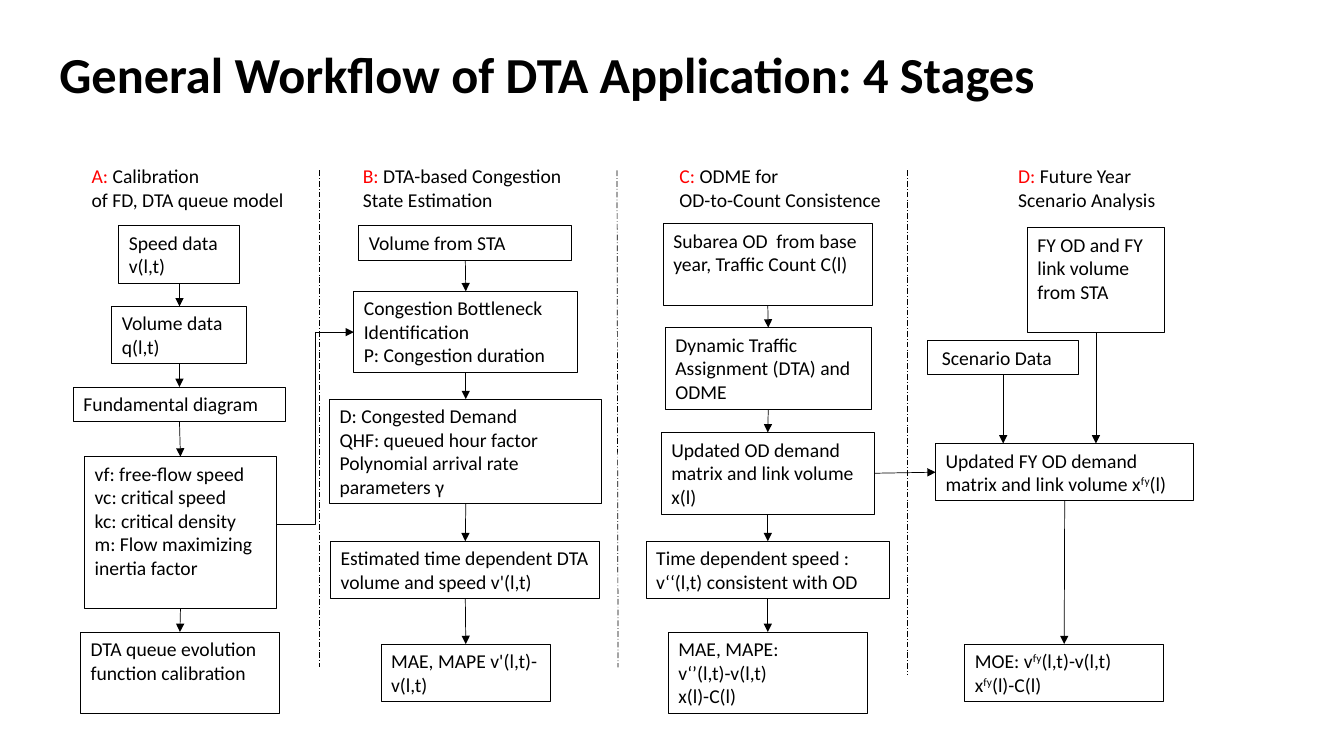
from dataclasses import dataclass
from itertools import pairwise

from lxml import etree
from pptx import Presentation
from pptx import util as u
from pptx.dml.color import RGBColor
from pptx.enum import dml, shapes, text
from pptx.oxml.ns import qn


@dataclass(frozen=True)
class Theme:
    font: str = "Calibri"
    ink: RGBColor = RGBColor(0, 0, 0)
    accent: RGBColor = RGBColor(255, 0, 0)
    body: int = 14
    title: int = 36
    box_line: float = 0.75
    thin_line: float = 0.5


THEME = Theme()
TOP, BOTTOM, LEFT, RIGHT = 0, 2, 1, 3

# Stage letter, heading lines, left and width
HEADINGS = [
    ("A", ["Calibration", "of FD, DTA queue model"], 0.81, 2.4),
    ("B", ["DTA-based Congestion State Estimation"], 3.5, 2.47),
    ("C", ["ODME for", "OD-to-Count Consistence"], 6.64, 2.44),
    ("D", ["Future Year", "Scenario Analysis"], 10, 1.75),
]

# Stage dividers: x at the top, x at the bottom, bottom
DIVIDERS = [(3.17, 3.17, 6.62), (6.12, 6.13, 6.62), (9, 9, 6.69)]

# Steps of each stage: left, top, width, height, lines; ^...^ is superscript
CALIBRATION = [
    (1.18, 2.24, 1.2, 0.57, ["Speed data", "v(l,t)"]),
    (1.11, 3.04, 1.34, 0.57, ["Volume data", "q(l,t)"]),
    (0.73, 3.84, 2.1, 0.34, ["Fundamental diagram"]),
    (0.84, 4.53, 1.9, 1.51, ["vf: free-flow speed", "vc: critical speed",
                             "kc: critical density",
                             "m: Flow maximizing inertia factor"]),
    (0.8, 6.27, 1.97, 0.81, ["DTA queue evolution function calibration"]),
]
CONGESTION = [
    (3.56, 2.24, 2.11, 0.34, ["Volume from STA"]),
    (3.51, 2.89, 2.22, 0.81, ["Congestion Bottleneck", "Identification",
                              "P: Congestion duration"]),
    (3.27, 3.96, 2.7, 1.04, ["D: Congested Demand", "QHF: queued hour factor",
                             "Polynomial arrival rate parameters γ"]),
    (3.28, 5.37, 2.67, 0.57,
     ["Estimated time dependent DTA volume and speed v'(l,t)"]),
    (3.78, 6.39, 1.68, 0.57, ["MAE, MAPE v'(l,t)-v(l,t)"]),
]
ODME = [
    (6.58, 2.22, 2.07, 0.81, ["Subarea OD  from base year, Traffic Count C(l)"]),
    (6.6, 3.25, 2.04, 0.81, ["Dynamic Traffic Assignment (DTA) and ODME"]),
    (6.56, 4.29, 2.11, 0.81, ["Updated OD demand matrix and link volume x(l)"]),
    (6.41, 5.37, 2.41, 0.57,
     ["Time dependent speed : v‘‘(l,t) consistent with OD"]),
    (6.63, 6.27, 1.97, 0.81, ["MAE, MAPE:", "v‘’(l,t)-v(l,t)", "x(l)-C(l)"]),
]
FUTURE_YEAR = [
    (9.28, 4.4, 2.56, 0.57,
     ["Updated FY OD demand matrix and link volume x^fy^(l)"]),
    (9.57, 6.39, 1.97, 0.57, ["MOE: v^fy^(l,t)-v(l,t)", "x^fy^(l)-C(l)"]),
]
FUTURE_VOLUME = (10.19, 2.26, 1.36, 1.04, ["FY OD and FY link volume from STA"])
SCENARIO = (9.2, 3.38, 1.5, 0.34, [" Scenario Data"])


def add_run(paragraph, words, color=THEME.ink, size=THEME.body, bold=False):
    run = paragraph.add_run()
    run.text = words
    style = {"name": THEME.font, "size": u.Pt(size), "bold": bold}
    for attribute, value in style.items():
        setattr(run.font, attribute, value)
    run.font.color.rgb = color
    return run


def set_frame(frame, anchor=text.MSO_ANCHOR.TOP):
    style = {
        "word_wrap": True, "vertical_anchor": anchor,
        "margin_left": u.Inches(0.1), "margin_right": u.Inches(0.1),
        "margin_top": u.Inches(0.05), "margin_bottom": u.Inches(0.05),
    }
    for attribute, value in style.items():
        setattr(frame, attribute, value)


def write_lines(frame, lines, label=""):
    """Write one paragraph a line, with an accented label before the first."""
    for index, line in enumerate(lines):
        paragraph = frame.add_paragraph() if index else frame.paragraphs[0]
        paragraph.alignment = text.PP_ALIGN.LEFT
        if label and not index:
            add_run(paragraph, label, THEME.accent)
        for part, words in enumerate(line.split("^")):
            run = add_run(paragraph, words)
            if part % 2:
                run.font._element.set("baseline", "30000")


def add_text(slide, left, top, width, height, anchor=text.MSO_ANCHOR.TOP):
    area = slide.shapes.add_textbox(*map(u.Inches, (left, top, width, height)))
    set_frame(area.text_frame, anchor)
    return area.text_frame


def add_title(slide, words):
    frame = add_text(slide, 0.49, 0.27, 11.93, 1, text.MSO_ANCHOR.MIDDLE)
    frame.paragraphs[0].line_spacing = 0.9
    add_run(frame.paragraphs[0], words, size=THEME.title, bold=True)


def add_step(slide, left, top, width, height, lines):
    step = slide.shapes.add_shape(
        shapes.MSO_SHAPE.RECTANGLE, *map(u.Inches, (left, top, width, height)))
    step.shadow.inherit = False
    step.fill.background()
    step.line.color.rgb = THEME.ink
    step.line.width = u.Pt(THEME.box_line)
    set_frame(step.text_frame)
    write_lines(step.text_frame, lines)
    return step


def add_line(slide, start, end, kind=shapes.MSO_CONNECTOR.STRAIGHT):
    line = slide.shapes.add_connector(kind, *map(u.Inches, (*start, *end)))
    line.line.color.rgb = THEME.ink
    line.line.width = u.Pt(THEME.thin_line)
    etree.SubElement(line._element.spPr, qn("a:effectLst"))
    return line


def add_arrow(slide, start, end, **options):
    arrow = add_line(slide, start, end, **options)
    etree.SubElement(arrow.line._get_or_add_ln(), qn("a:tailEnd"), type="triangle")
    return arrow


def join(slide, source, target, source_side=BOTTOM, target_side=TOP):
    arrow = add_arrow(slide, (0, 0), (1, 1))
    arrow.begin_connect(source, source_side)
    arrow.end_connect(target, target_side)


def drop(slide, source, x, top, bottom):
    """Lead straight down from a step to a point on the edge below."""
    add_arrow(slide, (x, top), (x, bottom)).begin_connect(source, BOTTOM)


def add_chain(slide, steps):
    boxes = [add_step(slide, *step) for step in steps]
    for source, target in pairwise(boxes):
        join(slide, source, target)
    return boxes


def main():
    deck = Presentation()
    deck.slide_width, deck.slide_height = u.Inches(13.33), u.Inches(7.5)
    slide = deck.slides.add_slide(deck.slide_layouts[6])

    add_title(slide, "General Workflow of DTA Application: 4 Stages")
    for letter, lines, left, width in HEADINGS:
        write_lines(add_text(slide, left, 1.58, width, 0.57), lines, f"{letter}: ")
    for top_x, bottom_x, bottom in DIVIDERS:
        divider = add_line(slide, (top_x, 1.69), (bottom_x, bottom))
        divider.line.dash_style = dml.MSO_LINE.LONG_DASH_DOT

    add_chain(slide, CALIBRATION)
    congestion, odme, future = (
        add_chain(slide, steps) for steps in (CONGESTION, ODME, FUTURE_YEAR))
    drop(slide, add_step(slide, *FUTURE_VOLUME), 10.87, 3.3, 4.4)
    drop(slide, add_step(slide, *SCENARIO), 9.95, 3.72, 4.4)

    join(slide, odme[2], future[0], RIGHT, LEFT)
    feed = add_arrow(slide, (2.74, 5.2), (3.51, 3.29),
                     kind=shapes.MSO_CONNECTOR.ELBOW)
    feed.end_connect(congestion[1], LEFT)

    deck.save("out.pptx")


if __name__ == "__main__":
    main()
